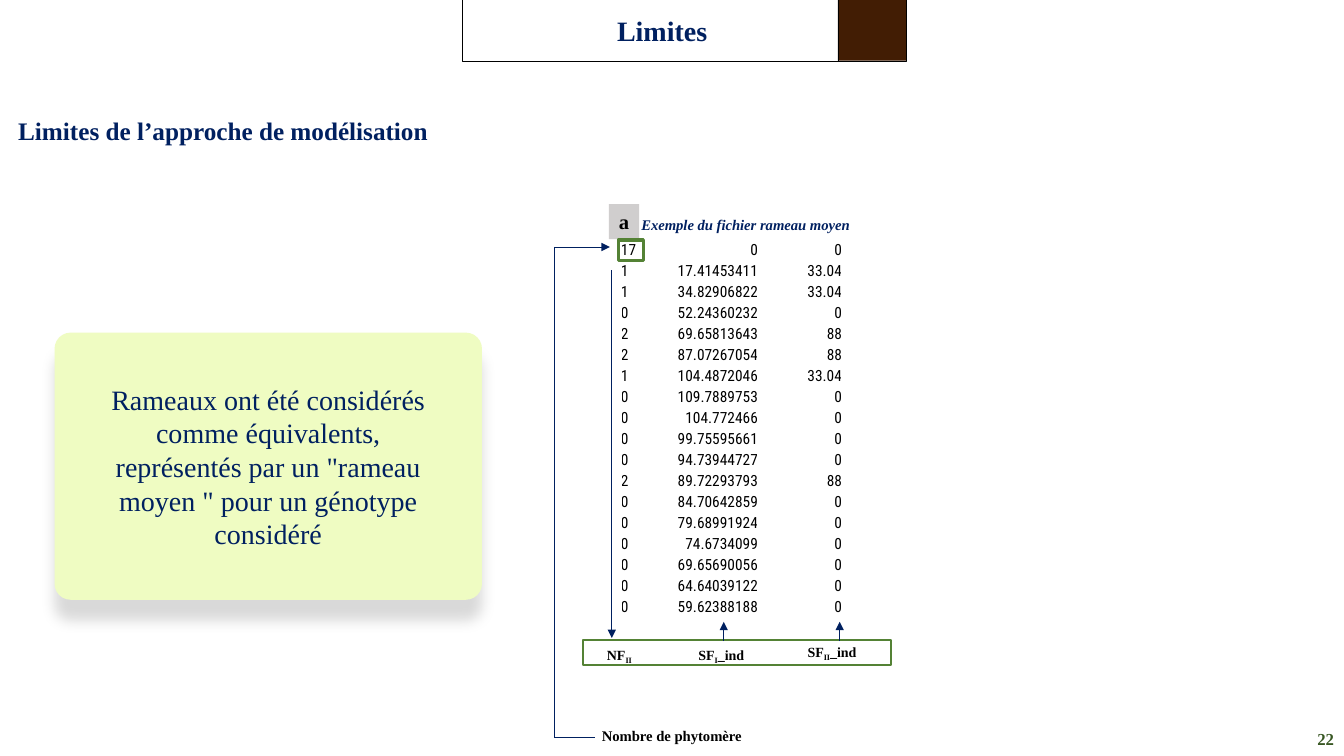
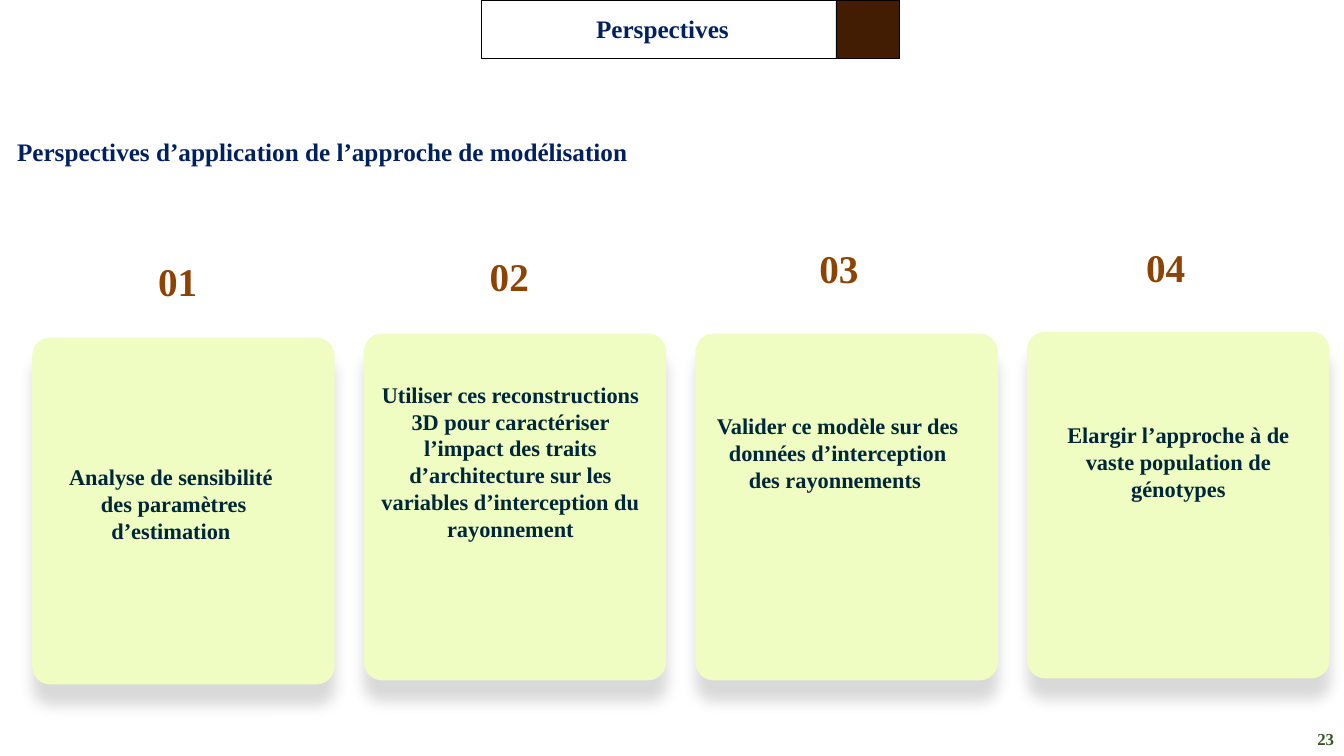
from pptx import Presentation
from pptx.dml.color import RGBColor
from pptx.enum.shapes import MSO_CONNECTOR, MSO_SHAPE
from pptx.enum.text import MSO_ANCHOR, MSO_AUTO_SIZE, PP_ALIGN
from pptx.oxml import parse_xml
from pptx.oxml.ns import nsdecls
from pptx.util import Pt

NAVY, BROWN, RUST, LIME = "002060", "421D04", "8C4303", "EFFCC2"
GREEN, MOSS, TEAL, GRAY = "548235", "385723", "002739", "D0CECE"
BLACK, WHITE = "000000", "FFFFFF"
SERIF = {"name": "Times New Roman", "bold": True}
LEFT, MID, RIGHT = PP_ALIGN.LEFT, PP_ALIGN.CENTER, PP_ALIGN.RIGHT
TOP, CENTER, BASE = MSO_ANCHOR.TOP, MSO_ANCHOR.MIDDLE, MSO_ANCHOR.BOTTOM
TITLE_BOX = (371.5, 5.8, 208, 32)
PAGE_BOX = (920, 516, 40, 24)

ROWS = [
    ("17", "0", "0"),
    ("1", "17.41453411", "33.04"),
    ("1", "34.82906822", "33.04"),
    ("0", "52.24360232", "0"),
    ("2", "69.65813643", "88"),
    ("2", "87.07267054", "88"),
    ("1", "104.4872046", "33.04"),
    ("0", "109.7889753", "0"),
    ("0", "104.772466", "0"),
    ("0", "99.75595661", "0"),
    ("0", "94.73944727", "0"),
    ("2", "89.72293793", "88"),
    ("0", "84.70642859", "0"),
    ("0", "79.68991924", "0"),
    ("0", "74.6734099", "0"),
    ("0", "69.65690056", "0"),
    ("0", "64.64039122", "0"),
    ("0", "59.62388188", "0"),
]

CARDS = [
    ("01", 241.2, (82.8, -59), (1.4, 86.4, 199.4),
     ["Analyse de sensibilité ", "des paramètres d’estimation "]),
    ("02", 238.3, (82.8, -59.8), (5, 30.2, 199.4),
     ["Utiliser ces reconstructions 3D pour caractériser l’impact des traits "
      "d’architecture sur les variables d’interception du rayonnement"]),
    ("03", 238.3, (81.4, -65.5), (7.9, 52.6, 187.2),
     ["Valider ce modèle sur des données d’interception des rayonnements "]),
    ("04", 236.9, (77.8, -64.8), (14.4, 60.5, 187.2),
     ["Elargir l’approche à de vaste population de génotypes"]),
]


def color(target, code):
    target.rgb = RGBColor.from_string(code)


def points(box):
    return [Pt(n) for n in box]


def shift(box, x, y):
    return (box[0] + x, box[1] + y, *box[2:])


def style(item, values):
    for key, value in values.items():
        setattr(item, key, value)


def write(frame, lines, hue, size, align=LEFT, anchor=TOP, inset=(7.2, 3.6), **font):
    side, edge = points(inset)
    style(frame, {
        "word_wrap": True, "auto_size": MSO_AUTO_SIZE.NONE, "vertical_anchor": anchor,
        "margin_left": side, "margin_right": side, "margin_top": edge, "margin_bottom": edge,
    })
    fill_text(frame, lines, hue, size, align, **font)


def fill_text(frame, lines, hue, size, align, **font):
    for rank, line in enumerate(lines):
        para = frame.add_paragraph() if rank else frame.paragraphs[0]
        style(para, {"alignment": align, "space_before": Pt(0)})
        for part in [line] if isinstance(line, str) else line:
            word, low = (part, False) if isinstance(part, str) else part
            run = para.add_run()
            run.text = word
            style(run.font, {**SERIF, "size": Pt(size), **font})
            color(run.font.color, hue)
            if low:
                run.font._element.set("baseline", "-25000")


def label(slide, box, lines, hue, size, **form):
    text = slide.shapes.add_textbox(*points(box))
    write(text.text_frame, lines, hue, size, **form)


def block(slide, box, fill=None, line=None, width=0.25, kind=MSO_SHAPE.RECTANGLE):
    shape = slide.shapes.add_shape(kind, *points(box))
    shape.shadow.inherit = False
    if fill:
        shape.fill.solid()
        color(shape.fill.fore_color, fill)
    else:
        shape.fill.background()
    if line:
        color(shape.line.color, line)
        shape.line.width = Pt(width)
    else:
        shape.line.fill.background()
    return shape


def card(slide, box):
    shape = block(slide, box, LIME, kind=MSO_SHAPE.ROUNDED_RECTANGLE)
    shape.adjustments[0] = 0.06
    props = shape._element.spPr
    props.remove(props.find("{*}effectLst"))
    props.append(parse_xml(
        f'<a:effectLst {nsdecls("a")}><a:outerShdw blurRad="{Pt(10)}" dist="{Pt(15)}" '
        f'dir="5400000" rotWithShape="0"><a:srgbClr val="{BLACK}">'
        '<a:alpha val="15000"/></a:srgbClr></a:outerShdw></a:effectLst>'))
    return shape


def stroke(slide, ends, width=0.5, arrow=True):
    line = slide.shapes.add_connector(MSO_CONNECTOR.STRAIGHT, *points(ends))
    color(line.line.color, NAVY)
    line.line.width = Pt(width)
    if arrow:
        line.line._get_or_add_ln().append(
            parse_xml(f'<a:tailEnd {nsdecls("a")} type="triangle"/>'))
    line._element.spPr.append(parse_xml(f'<a:effectLst {nsdecls("a")}/>'))


def band(slide, box, split):
    x, y, w, h = box
    block(slide, (x, y, split, h), line=BLACK)
    block(slide, (x + split, y, w - split, h), BROWN, BLACK)


def place(holder, box):
    style(holder, dict(zip(("left", "top", "width", "height"), points(box))))
    return holder.text_frame


def base(deck, title, size, head, spot, frame, split, page):
    slide = deck.slides.add_slide(deck.slide_layouts[1])
    band(slide, frame, split)
    write(place(slide.shapes.title, TITLE_BOX), [title], NAVY, size, align=MID)
    body = place(slide.placeholders[1], spot)
    props = body.paragraphs[0]._p.get_or_add_pPr()
    style_none = parse_xml(f'<a:buNone {nsdecls("a")}/>')
    props.append(style_none)
    props.set("marL", "0")
    props.set("indent", "0")
    write(body, [head], NAVY, 18)
    label(slide, PAGE_BOX, [page], MOSS, 12, align=RIGHT, anchor=CENTER)
    return slide


def grid(slide, box):
    table = slide.shapes.add_table(len(ROWS), 3, *points(box)).table
    style(table, {"first_row": False, "horz_banding": False})
    for col, wide in zip(table.columns, (38, 60, 60)):
        col.width = Pt(wide)
    for row, words in zip(table.rows, ROWS):
        row.height = Pt(box[3] / len(ROWS))
        for rank, (cell, word) in enumerate(zip(row.cells, words)):
            style(cell, {"margin_left": 0, "margin_right": 0, "margin_top": 0,
                         "margin_bottom": 0, "vertical_anchor": BASE})
            cell.fill.solid()
            color(cell.fill.fore_color, WHITE)
            fill_text(cell.text_frame, [word], BLACK, 11, RIGHT if rank else LEFT,
                      name="Roboto Condensed", bold=False)


def figure(slide, box):
    x, y = box[:2]
    grid(slide, (x + 47.5, y + 24.5, 158, 270))
    label(slide, (x + 49.7, y + 5, 176.4, 20), ["Exemple du fichier rameau moyen "],
          NAVY, 10.5, align=MID, italic=True)
    tag = block(slide, (x + 39, y + 0.5, 21.6, 25), GRAY)
    write(tag.text_frame, ["a"], BLACK, 14.7, align=MID, anchor=CENTER, inset=(0, 0))
    block(slide, (x + 45.6, y + 26, 18, 14.5), line=GREEN, width=2.25)
    names = [
        ((19.4, 312.5, 54, 19.4), ["NF", ("II", True)]),
        ((92.2, 312.5, 54, 19.4), ["SF", ("I", True), "_ind"]),
        ((172, 310.5, 52.6, 19.4), ["SF", ("II", True), "_ind"]),
    ]
    for spot, parts in names:
        label(slide, shift(spot, x, y), [parts], BLACK, 10, align=MID)
    block(slide, (x + 20.2, y + 311.8, 220.3, 18), line=GREEN, width=1.5)
    label(slide, (x - 4.3, y + 370, 176.4, 20), ["Nombre de phytomère"],
          BLACK, 10.5, align=MID)
    foot = box[3]
    lines = [
        ((41, 47.5, 41, 310.3), 0.75, True),
        ((0, 31, 39.6, 31), 0.5, True),
        ((0, 31, 0, foot), 0.75, False),
        ((28.8, foot, 0, foot), 0.5, False),
        ((121, 312.5, 121, 298.8), 0.5, True),
        ((203.8, 312.5, 203.8, 298.8), 0.5, True),
    ]
    for (left, top, right, low), width, arrow in lines:
        stroke(slide, (x + left, y + top, x + right, y + low), width, arrow)


def limits(deck):
    slide = base(deck, "Limites ", 20, "Limites de l’approche de modélisation",
                 (5.8, 78.5, 356, 29), (330, -2, 317, 45.4), 268.5, "22")
    figure(slide, (396, 145.4, 240, 381))
    note = card(slide, (39, 237.6, 305.3, 190.8))
    write(note.text_frame,
          ['Rameaux ont été considérés comme équivalents, représentés par un '
           '"rameau moyen " pour un génotype considéré'],
          NAVY, 20, align=MID, anchor=CENTER, inset=(28, 28), bold=False)


def panel(slide, box, mark, spot, area, lines):
    x, y = box[:2]
    card(slide, box)
    label(slide, (x + spot[0], y + spot[1], 54, 37.4), [mark], RUST, 28,
          anchor=CENTER, inset=(7.2, 7.2))
    label(slide, (x + area[0], y + area[1], area[2], 120), lines, TEAL, 16, align=MID)


def outlook(deck):
    slide = base(deck, "Perspectives ", 18,
                 "Perspectives d’application de l’approche de modélisation",
                 (5, 93.6, 637, 29), (344, 0, 298.5, 41.8), 253, "23")
    for rank, (mark, top, spot, area, lines) in enumerate(CARDS):
        panel(slide, (23 + 236.9 * rank, top, 216, 247.7), mark, spot, area, lines)


def main():
    deck = Presentation()
    style(deck, {"slide_width": Pt(960), "slide_height": Pt(540)})
    limits(deck)
    outlook(deck)
    deck.save("out.pptx")


if __name__ == "__main__":
    main()
